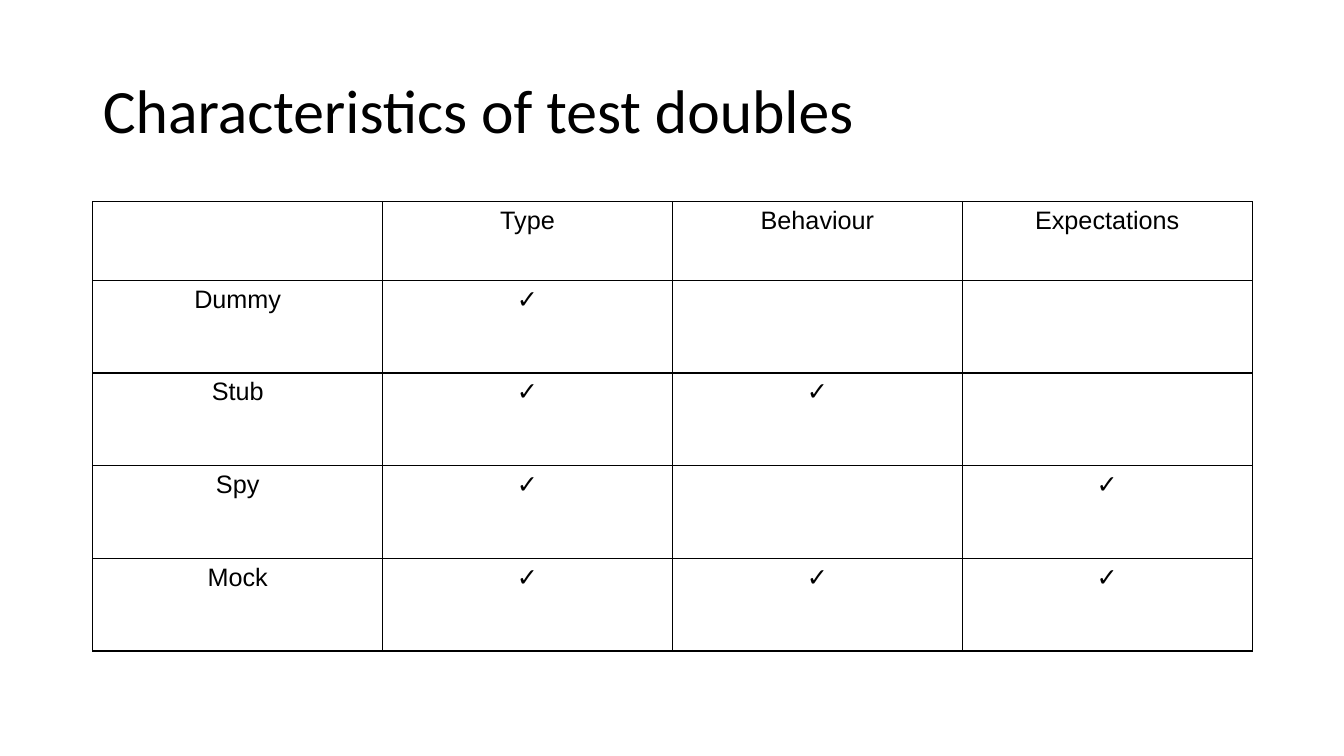
from lxml import etree
from pptx import Presentation
from pptx import util as u
from pptx.dml.color import RGBColor
from pptx.enum import text
from pptx.oxml import ns

BLACK = RGBColor(0, 0, 0)
WHITE = RGBColor(255, 255, 255)
TICK = "✓"
HEADS = ["", "Type", "Behaviour", "Expectations"]
TRAITS = {
    "Dummy": ["Type"],
    "Stub": ["Type", "Behaviour"],
    "Spy": ["Type", "Expectations"],
    "Mock": ["Type", "Behaviour", "Expectations"],
}


def write(frame, words, size=18, font="Arial", color=BLACK,
          align=text.PP_ALIGN.CENTER, space=1.0):
    para = frame.paragraphs[0]
    para.alignment = align
    para.line_spacing = space
    run = para.add_run()
    run.text = words
    run.font.size = u.Pt(size)
    run.font.name = font
    run.font.color.rgb = color


class Deck:
    def __init__(self, show):
        self.slide = show.slides.add_slide(show.slide_layouts[5])
        self.left, self.width = u.Inches(0.92), u.Inches(11.5)
        self.line, self.fill = BLACK, WHITE

    def title(self, words):
        head = self.slide.shapes.title
        head.left, head.top = self.left, u.Inches(0.4)
        head.width, head.height = self.width, u.Inches(1.45)
        frame = head.text_frame
        frame.auto_size = text.MSO_AUTO_SIZE.NONE
        frame.vertical_anchor = text.MSO_ANCHOR.MIDDLE
        write(frame, words, size=44, font="Calibri",
              align=text.PP_ALIGN.LEFT, space=0.9)

    def border(self, cell):
        props = cell._tc.get_or_add_tcPr()
        for side in ("lnL", "lnR", "lnT", "lnB"):
            edge = etree.SubElement(props, ns.qn(f"a:{side}"), w=str(u.Pt(1)))
            solid = etree.SubElement(edge, ns.qn("a:solidFill"))
            etree.SubElement(solid, ns.qn("a:srgbClr"), val=str(self.line))

    def table(self, rows, top, highs):
        grid = self.slide.shapes.add_table(
            len(rows), len(rows[0]), self.left, top, self.width, sum(highs)).table
        grid.first_row = grid.horz_banding = False
        for row, high in zip(grid.rows, highs):
            row.height = high
        for cell, words in zip(grid.iter_cells(), sum(rows, [])):
            self.border(cell)
            cell.fill.solid()
            cell.fill.fore_color.rgb = self.fill
            if words:
                write(cell.text_frame, words)


def main():
    show = Presentation()
    show.slide_width, show.slide_height = u.Inches(13.33), u.Inches(7.5)
    deck = Deck(show)
    deck.title("Characteristics of test doubles")
    rows = [HEADS] + [
        [name] + [TICK if head in traits else "" for head in HEADS[1:]]
        for name, traits in TRAITS.items()
    ]
    highs = [u.Inches(0.78)] + [u.Inches(0.92)] * len(TRAITS)
    deck.table(rows, u.Inches(2), highs)
    show.save("out.pptx")


if __name__ == "__main__":
    main()
